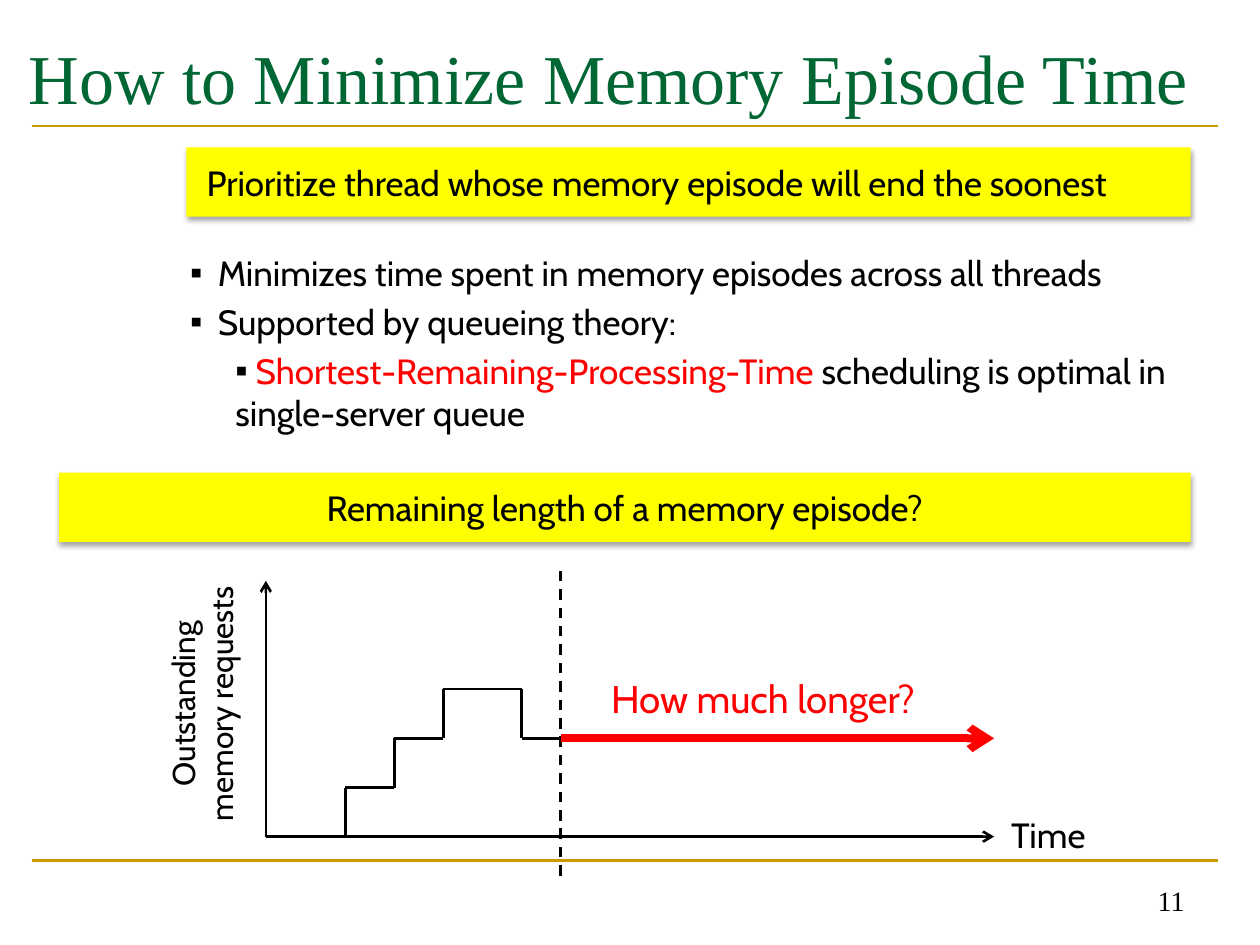
from itertools import pairwise
from lxml.etree import SubElement
from pptx import Presentation
from pptx.dml.color import RGBColor
from pptx.enum.dml import MSO_LINE as Dash
from pptx.enum.shapes import MSO_CONNECTOR as Conn, MSO_SHAPE as Shape
from pptx.enum.text import MSO_ANCHOR as Anchor, PP_ALIGN as Align
from pptx.oxml.ns import qn
from pptx.util import Inches, Pt

INK = {"black": "000000", "red": "FF0000", "green": "006633",
       "gold": "CC9900", "yellow": "FFFF00"}
SANS, SERIF = "Cabin", "Times New Roman"


def color(name):
    return RGBColor.from_string(INK[name])


def style(par, size, ink="black", face=SANS, align=Align.LEFT):
    par.alignment = align
    par.font.size = Pt(size)
    par.font.name = face
    par.font.color.rgb = color(ink)


def add_text(slide, box, lines, size, ink="black", face=SANS,
             align=Align.CENTER, anchor=Anchor.TOP):
    shape = slide.shapes.add_textbox(*map(Inches, box))
    frame = shape.text_frame
    frame.word_wrap = True
    frame.vertical_anchor = anchor
    frame.text = "\n".join(lines)
    for par in frame.paragraphs:
        style(par, size, ink, face, align)
    return shape


def add_line(slide, start, end, ink="black", width=1.5, arrow=False, dash=False):
    line = slide.shapes.add_connector(
        Conn.STRAIGHT, *map(Inches, (*start, *end)))
    line.line.color.rgb = color(ink)
    line.line.width = Pt(width)
    props = line._element.spPr
    if dash:
        line.line.dash_style = Dash.DASH
    if arrow:
        SubElement(props.find(qn("a:ln")), qn("a:tailEnd"), type="arrow")
    SubElement(props, qn("a:effectLst"))


def add_banner(slide, box, text, align, inset=0.1):
    bar = slide.shapes.add_shape(Shape.RECTANGLE, *map(Inches, box))
    bar.fill.solid()
    bar.fill.fore_color.rgb = color("yellow")
    bar.line.fill.background()
    bar.shadow.inherit = False
    effects = bar._element.spPr.find(qn("a:effectLst"))
    shade = SubElement(effects, qn("a:outerShdw"), blurRad=str(Pt(3.1)),
                       dist=str(Pt(1.8)), dir="5400000", rotWithShape="0")
    tint = SubElement(shade, qn("a:srgbClr"), val=INK["black"])
    SubElement(tint, qn("a:alpha"), val="35000")
    frame = bar.text_frame
    frame.margin_left = Inches(inset)
    frame.vertical_anchor = Anchor.MIDDLE
    frame.text = text
    style(frame.paragraphs[0], 20, align=align)


def add_bullet(par, left, hang):
    props = par._p.get_or_add_pPr()
    props.set("marL", str(Inches(left)))
    props.set("indent", str(-Inches(hang)))
    tint = SubElement(props, qn("a:buClr"))
    SubElement(tint, qn("a:srgbClr"), val=INK["black"])
    SubElement(props, qn("a:buFont"), typeface="Arial")
    SubElement(props, qn("a:buChar"), char="▪")


def add_title(slide, text):
    title = slide.shapes.title
    title.left, title.top, title.width, title.height = map(
        Inches, (-0.17, 0.17, 10, 1.25))
    frame = title.text_frame
    frame.text = text
    frame.margin_top = Inches(0.1)
    frame.vertical_anchor = Anchor.TOP
    style(frame.paragraphs[0], 40, "green", SERIF, Align.CENTER)


def add_points(slide):
    frame = slide.shapes.add_textbox(
        *map(Inches, (1.41, 1.95, 8.59, 1.56))).text_frame
    frame.word_wrap = True
    points = [
        (0.22, 0.22, [("Minimizes time spent in memory episodes across all threads", "black")]),
        (0.22, 0.22, [("Supported by queueing theory:", "black")]),
        (0.36, 0, [(" Shortest-Remaining-Processing-Time", "red"),
                   (" scheduling is optimal in single-server queue", "black")]),
    ]
    for rank, (left, hang, parts) in enumerate(points):
        par = frame.add_paragraph() if rank else frame.paragraphs[0]
        par.level = int(hang == 0)
        par.space_before = Pt(4 if rank else 0)
        add_bullet(par, left, hang)
        style(par, 20)
        for text, ink in parts:
            run = par.add_run()
            run.text = text
            run.font.color.rgb = color(ink)


def add_graph(slide):
    left, right, base, now = 2.11, 7.89, 6.64, 4.45
    low, mid, high = (base - 0.39 * step for step in (1, 2, 3))
    add_text(slide, (right, 6.41, 0.86, 0.44), ["Time"], 20)
    add_line(slide, (left, base), (left, 4.61), arrow=True)
    add_line(slide, (left, base), (right, base), arrow=True)
    steps = [(2.74, base), (2.74, low), (3.13, low), (3.13, mid), (3.52, mid),
             (3.52, high), (4.14, high), (4.14, mid), (now, mid)]
    for start, end in pairwise(steps):
        add_line(slide, start, end)
    label = add_text(slide, (0.47, 5.23, 2.27, 0.71),
                     ["Outstanding", "memory requests"], 18)
    label.rotation = 270
    add_line(slide, (now, 4.53), (now, 6.95), dash=True)
    add_line(slide, (now, mid), (right, mid), "red", 4.5, arrow=True)
    add_text(slide, (4.61, 5.31, 2.89, 0.47), ["How much longer?"], 22, "red")


def main():
    """Build the memory episode slide."""
    deck = Presentation()
    deck.slide_width, deck.slide_height = Inches(10), Inches(7.5)
    slide = deck.slides.add_slide(deck.slide_layouts[5])
    for y in (6.83, 1):
        add_line(slide, (0.25, y), (9.67, y), "gold")
    add_title(slide, "How to Minimize Memory Episode Time")
    add_points(slide)
    add_banner(slide, (0.47, 3.75, 8.98, 0.55),
               "Remaining length of a memory episode?", Align.CENTER)
    add_banner(slide, (1.48, 1.17, 7.97, 0.55),
               "Prioritize thread whose memory episode will end the soonest",
               Align.LEFT, 0.16)
    add_graph(slide)
    add_text(slide, (7.17, 6.83, 2.33, 0.5), ["11"], 16, face=SERIF,
             align=Align.RIGHT, anchor=Anchor.BOTTOM)
    deck.save("out.pptx")


if __name__ == "__main__":
    main()
